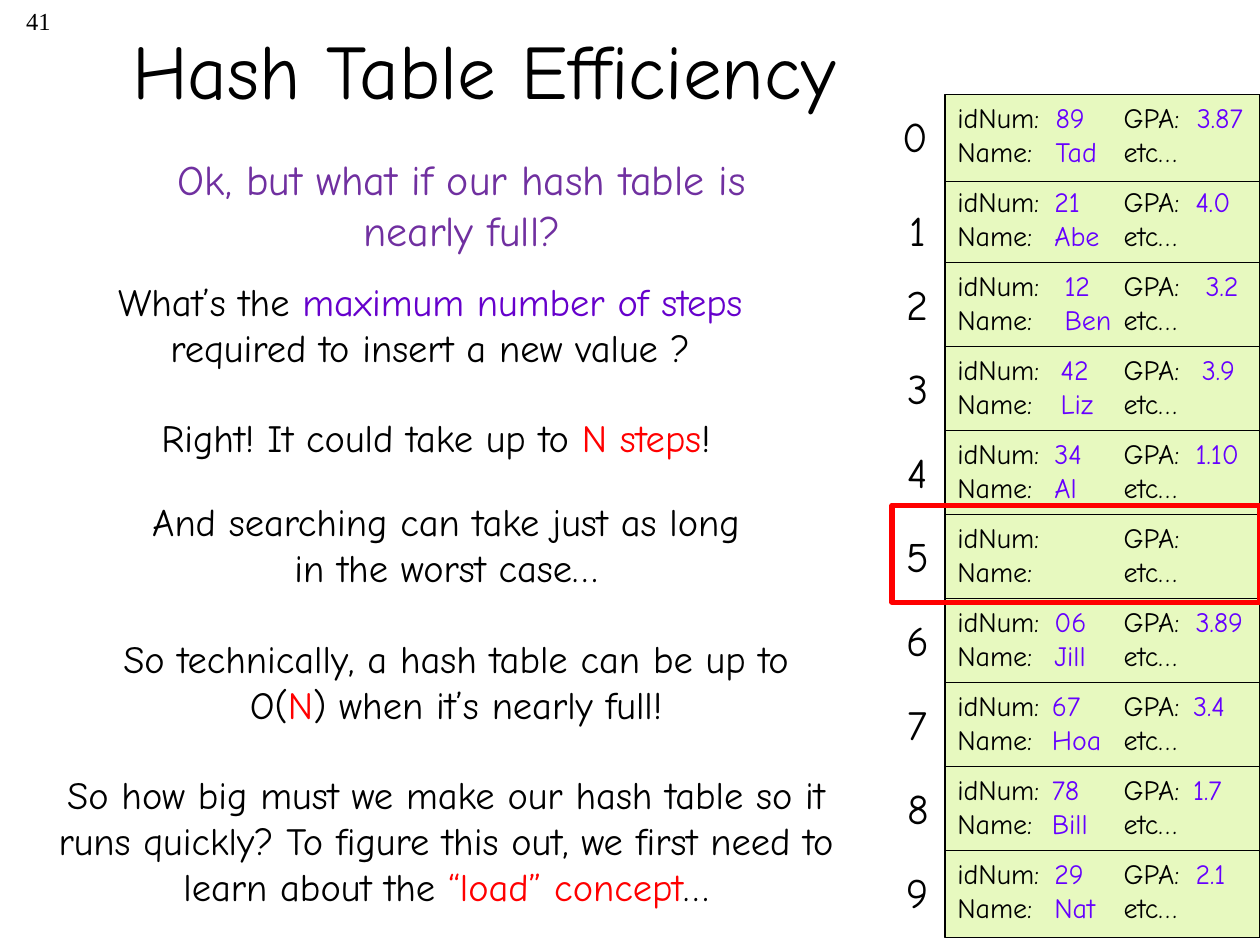
from dataclasses import dataclass

from lxml.etree import SubElement
from pptx import Presentation
from pptx.dml.color import RGBColor
from pptx.enum.shapes import MSO_SHAPE
from pptx.enum.text import MSO_ANCHOR, PP_ALIGN
from pptx.oxml.ns import qn
from pptx.slide import Slide
from pptx.util import Inches, Pt

COLORS = {
    "black": "000000",
    "cell": "E7F9BF",
    "value": "6600FF",
    "question": "7030A0",
    "steps": "6600CC",
    "red": "FF0000",
}
FIRST_TOP, PITCH = 0.75, 2 / 3
BUCKET_LEFT, BUCKET_WIDTH, BUCKET_HEIGHT = 7.5, 2.5, 0.69
TEXT_HEIGHT = 0.64

# bucket: (left of the values, idNum, GPA, name)
STUDENTS = {
    0: (8.28, "89", "3.87", "Tad"),
    1: (8.27, "21", "4.0", "Abe"),
    2: (8.35, "12", "3.2", "Ben"),
    3: (8.32, "42", "3.9", "Liz"),
    4: (8.27, "34", "1.10", "Al"),
    6: (8.27, "06", "3.89", "Jill"),
    7: (8.25, "67", "3.4", "Hoa"),
    8: (8.25, "78", "1.7", "Bill"),
    9: (8.27, "29", "2.1", "Nat"),
}

# box (left, top, width, height), size, runs
STATEMENTS = [
    ((0.83, 1.17, 5.67, 0.91), 24,
     [("Ok, but what if our hash table is nearly full?", "question")]),
    ((0.33, 2.16, 6.17, 0.84), 22,
     [("What’s the ", "black"), ("maximum number of steps ", "steps"),
      ("required to insert a new value ?", "black")]),
    ((0.42, 3.24, 6.08, 0.47), 22,
     [("Right! It could take up to ", "black"), ("N steps", "red"), ("!", "black")]),
    ((0.5, 3.9, 6.08, 0.84), 22,
     [("And searching can take just as long\n", "black"),
      ("in the worst case…", "black")]),
    ((0.58, 4.99, 6.08, 0.84), 22,
     [("So technically, a hash table can be up to O(", "black"), ("N", "red"),
      (") when it’s nearly full!", "black")]),
    ((0.33, 6.07, 6.42, 1.21), 22,
     [("So how big must we make our hash table so it runs quickly? "
       "To figure this out, we first need to learn about the ", "black"),
      ("“load” concept", "red"), ("…", "black")]),
]


@dataclass
class Deck:
    slide: Slide
    font: str = "Comic Neue"

    def text(self, box, paragraphs, size, align=PP_ALIGN.LEFT, font=None,
             wrap=True, tab=None, anchor=MSO_ANCHOR.TOP):
        """Each paragraph is a list of (text, colour) runs; a final newline breaks the line."""
        frame = self.slide.shapes.add_textbox(*map(Inches, box)).text_frame
        frame.word_wrap = wrap
        frame.vertical_anchor = anchor
        for number, runs in enumerate(paragraphs):
            paragraph = frame.add_paragraph() if number else frame.paragraphs[0]
            paragraph.alignment = align
            if tab:
                stops = SubElement(paragraph._p.get_or_add_pPr(), qn("a:tabLst"))
                SubElement(stops, qn("a:tab"), pos=str(Inches(tab)), algn="l")
            for words, color in runs:
                run = paragraph.add_run()
                run.text = words.rstrip("\n")
                run.font.name = font or self.font
                run.font.size = Pt(size)
                run.font.color.rgb = RGBColor.from_string(COLORS[color])
                if words.endswith("\n"):
                    paragraph.add_line_break()

    def rectangle(self, box, line, weight, fill=None):
        shape = self.slide.shapes.add_shape(MSO_SHAPE.RECTANGLE, *map(Inches, box))
        shape.shadow.inherit = False
        if fill:
            shape.fill.solid()
            shape.fill.fore_color.rgb = RGBColor.from_string(COLORS[fill])
        else:
            shape.fill.background()
        shape.line.color.rgb = RGBColor.from_string(COLORS[line])
        shape.line.width = Pt(weight)

    def bucket(self, top):
        self.rectangle((BUCKET_LEFT, top, BUCKET_WIDTH, BUCKET_HEIGHT),
                       "black", 0.75, "cell")
        self.text((BUCKET_LEFT, top, BUCKET_WIDTH, TEXT_HEIGHT),
                  [[("idNum:\tGPA:", "black")], [("Name:\tetc…", "black")]],
                  16, tab=1.32)

    def bucket_number(self, number, top):
        nudge = 0.08 if number == 1 else 0
        left = 7.06 if number == 0 else 7.08
        self.text((left, top + 0.08 + nudge, 0.41, 0.5), [[(str(number), "black")]],
                  24, PP_ALIGN.CENTER, wrap=False)

    def student(self, top, left, id_num, gpa, name):
        self.text((left, top, 10 - left, TEXT_HEIGHT),
                  [[(f"{id_num}\t{gpa}", "value")], [(name, "value")]],
                  16, tab=1.12)


def main():
    presentation = Presentation()
    presentation.slide_width, presentation.slide_height = Inches(10), Inches(7.5)
    deck = Deck(presentation.slides.add_slide(presentation.slide_layouts[6]))

    deck.text((0, 0, 0.5, 0.5), [[("41", "black")]], 14, PP_ALIGN.RIGHT,
              font="Times New Roman")
    deck.text((-0.67, -0.08, 9.03, 1.25), [[("Hash Table Efficiency", "black")]],
              44, PP_ALIGN.CENTER, anchor=MSO_ANCHOR.MIDDLE)

    tops = [FIRST_TOP + number * PITCH for number in range(10)]
    for top in tops[1:] + tops[:1]:  # bucket 0 overlaps bucket 1
        deck.bucket(top)
    for number, top in enumerate(tops):
        deck.bucket_number(number, top)
    for number, student in STUDENTS.items():
        deck.student(tops[number], *student)
    deck.rectangle((7.08, 4.01, 2.92, 0.77), "red", 3)

    for box, size, runs in STATEMENTS:
        deck.text(box, [runs], size, PP_ALIGN.CENTER)

    presentation.save("out.pptx")


if __name__ == "__main__":
    main()
